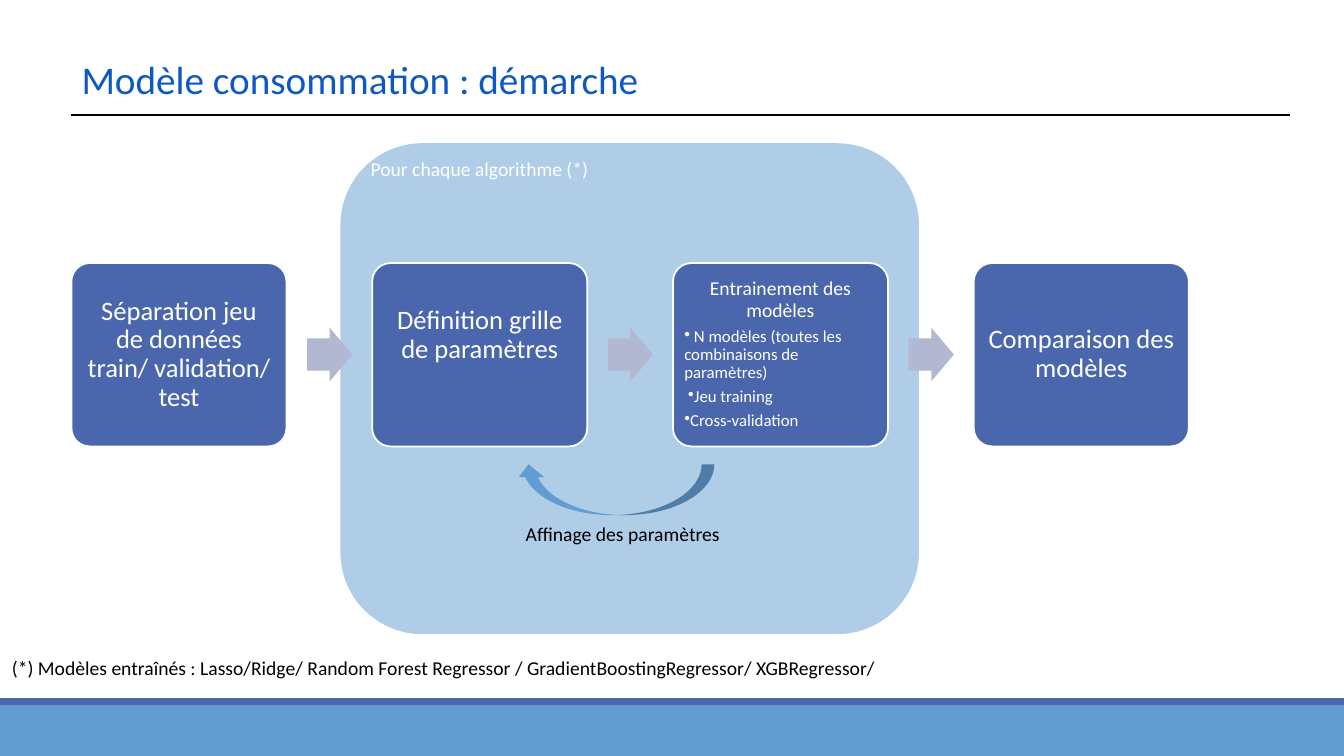
from lxml.etree import SubElement
from pptx import Presentation
from pptx.dml.color import RGBColor
from pptx.enum.shapes import MSO_CONNECTOR, MSO_SHAPE
from pptx.enum.text import MSO_ANCHOR, PP_ALIGN
from pptx.oxml.ns import qn
from pptx.util import Cm, Pt

BLUE, INDIGO, LILAC = "629DD1", "4A66AC", "B2B8D2"
WHITE, BLACK = "FFFFFF", "000000"


def add_block(kind, left, top, width, height, fill, line=None):
    """Add a preset shape, measured in cm, without shadow."""
    shape = slide.shapes.add_shape(kind, Cm(left), Cm(top), Cm(width), Cm(height))
    shape.shadow.inherit = False
    shape.fill.solid()
    shape.fill.fore_color.rgb = RGBColor.from_string(fill)
    if line:
        shape.line.color.rgb = RGBColor.from_string(line)
        shape.line.width = Pt(1.25)
    else:
        shape.line.fill.background()
    return shape


def write(frame, text, size=14, color=WHITE, align=PP_ALIGN.LEFT, spacing=1.0,
          after=0, bullet=False, indent=0):
    """Fill the frame's first paragraph, or append one if it has text."""
    frame.word_wrap = True
    paragraph = frame.add_paragraph() if frame.text else frame.paragraphs[0]
    paragraph.alignment = align
    paragraph.line_spacing = spacing
    paragraph.space_before = Pt(0)
    paragraph.space_after = Pt(after)
    if bullet:
        properties = paragraph._p.get_or_add_pPr()
        properties.set("marL", str(Cm(indent)))
        properties.set("indent", "0")
        SubElement(properties, qn("a:buChar"), char="•")
    run = paragraph.add_run()
    run.text = text
    run.font.name = "Calibri"
    run.font.size = Pt(size)
    run.font.color.rgb = RGBColor.from_string(color)


presentation = Presentation()
presentation.slide_width, presentation.slide_height = Cm(33.87), Cm(19.05)
slide = presentation.slides.add_slide(presentation.slide_layouts[5])

# Footer bands
add_block(MSO_SHAPE.RECTANGLE, 0, 17.78, 33.87, 1.27, BLUE)
add_block(MSO_SHAPE.RECTANGLE, 0, 17.59, 33.87, 0.19, INDIGO)

# Title and rule
title = slide.shapes.title
title.left, title.top, title.width, title.height = Cm(1.8), Cm(1.27), Cm(16.94), Cm(1.45)
title.text_frame.vertical_anchor = MSO_ANCHOR.TOP
write(title.text_frame, "Modèle consommation : démarche", size=28, color="0E58C4")

rule = slide.shapes.add_connector(MSO_CONNECTOR.STRAIGHT, Cm(1.8), Cm(2.9), Cm(32.51), Cm(2.9))
rule.line.color.rgb = RGBColor.from_string(BLACK)
rule.line.width = Pt(1)
SubElement(rule._element.spPr, qn("a:effectLst"))

# Half-transparent loop area
loop_area = add_block(MSO_SHAPE.ROUNDED_RECTANGLE, 8.58, 3.61, 14.58, 12.37, BLUE)
loop_color = loop_area._element.spPr.find(qn("a:solidFill")).find(qn("a:srgbClr"))
SubElement(loop_color, qn("a:alpha"), val="50000")

# Steps: heading, heading size, inset, bottom inset, bullets with their indent
steps = [
    ("Séparation jeu de données train/ validation/ test", 19, 0.2, 0.2, []),
    ("Définition grille de paramètres", 19, 0.2, 1.17, []),
    ("Entrainement des modèles", 14, 0.15, 0.15, [
        (" N modèles (toutes les combinaisons de paramètres)", 0),
        ("Jeu training", 0.1),
        ("Cross-validation", 0),
    ]),
    ("Comparaison des modèles", 19, 0.2, 0.2, []),
]
for index, (heading, size, inset, bottom_inset, bullets) in enumerate(steps):
    left = 1.8 + index * 7.58
    box = add_block(MSO_SHAPE.ROUNDED_RECTANGLE, left, 6.63, 5.42, 4.62, INDIGO, line=WHITE)
    box.adjustments[0] = 0.1
    frame = box.text_frame
    frame.vertical_anchor = MSO_ANCHOR.MIDDLE
    frame.margin_left = frame.margin_right = frame.margin_top = Cm(inset)
    frame.margin_bottom = Cm(bottom_inset)
    write(frame, heading, size=size, align=PP_ALIGN.CENTER, spacing=0.9, after=size * 0.35)
    for text, indent in bullets:
        write(frame, text, size=12, spacing=0.9, after=4.2, bullet=True, indent=indent)
    if index < len(steps) - 1:
        arrow = add_block(MSO_SHAPE.RIGHT_ARROW, left + 5.94, 8.26, 1.14, 1.35, LILAC)
        arrow.adjustments[0] = 0.6

# Feedback arrow
feedback = add_block(MSO_SHAPE.CURVED_DOWN_ARROW, 13, 11.7, 5, 1.28, BLUE)
feedback.rotation = 180

# Labels
labels = [
    ("Affinage des paramètres", 13, 13.03, 7.26, BLACK),
    ("Pour chaque algorithme (*)", 9.09, 3.84, 16.94, WHITE),
    ("(*) Modèles entraînés : Lasso/Ridge/ Random Forest Regressor / "
     "GradientBoostingRegressor/ XGBRegressor/", 0.05, 16.41, 25.91, BLACK),
]
for text, left, top, width, color in labels:
    label = slide.shapes.add_textbox(Cm(left), Cm(top), Cm(width), Cm(0.86))
    write(label.text_frame, text, color=color)

presentation.save("out.pptx")
